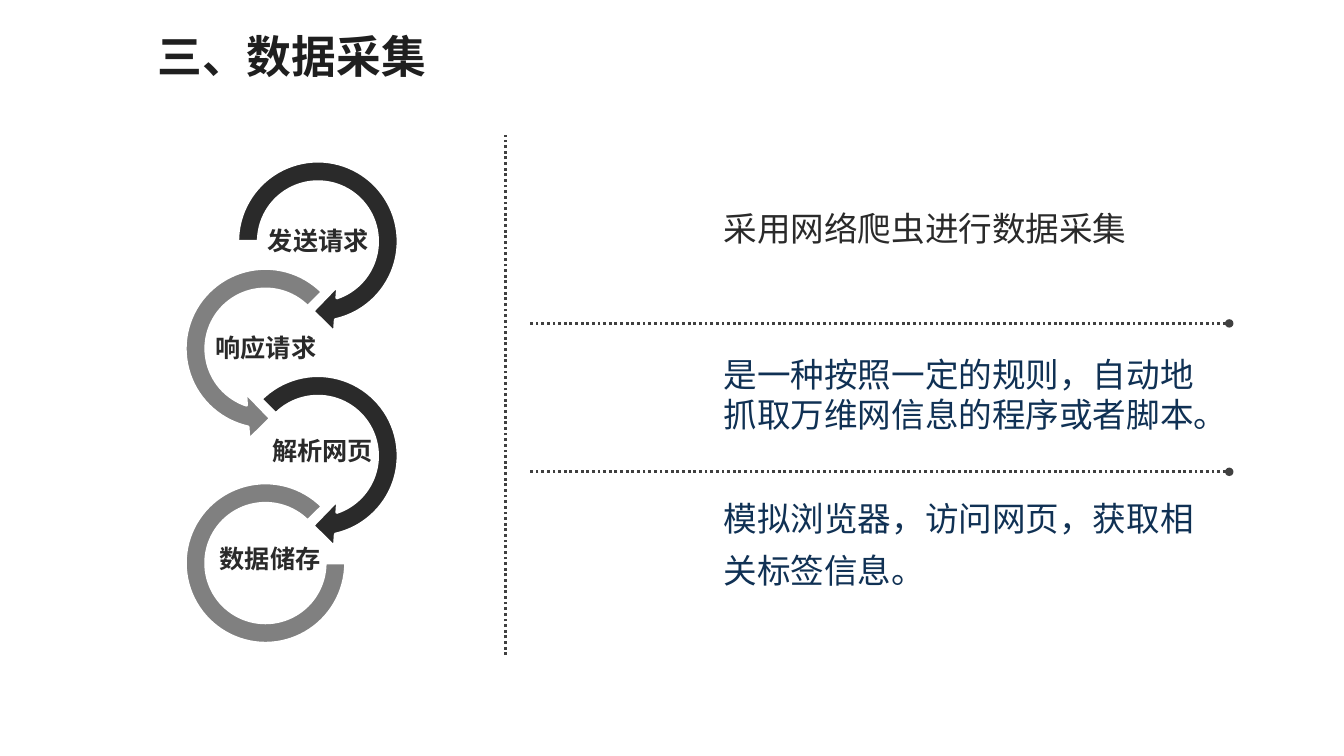
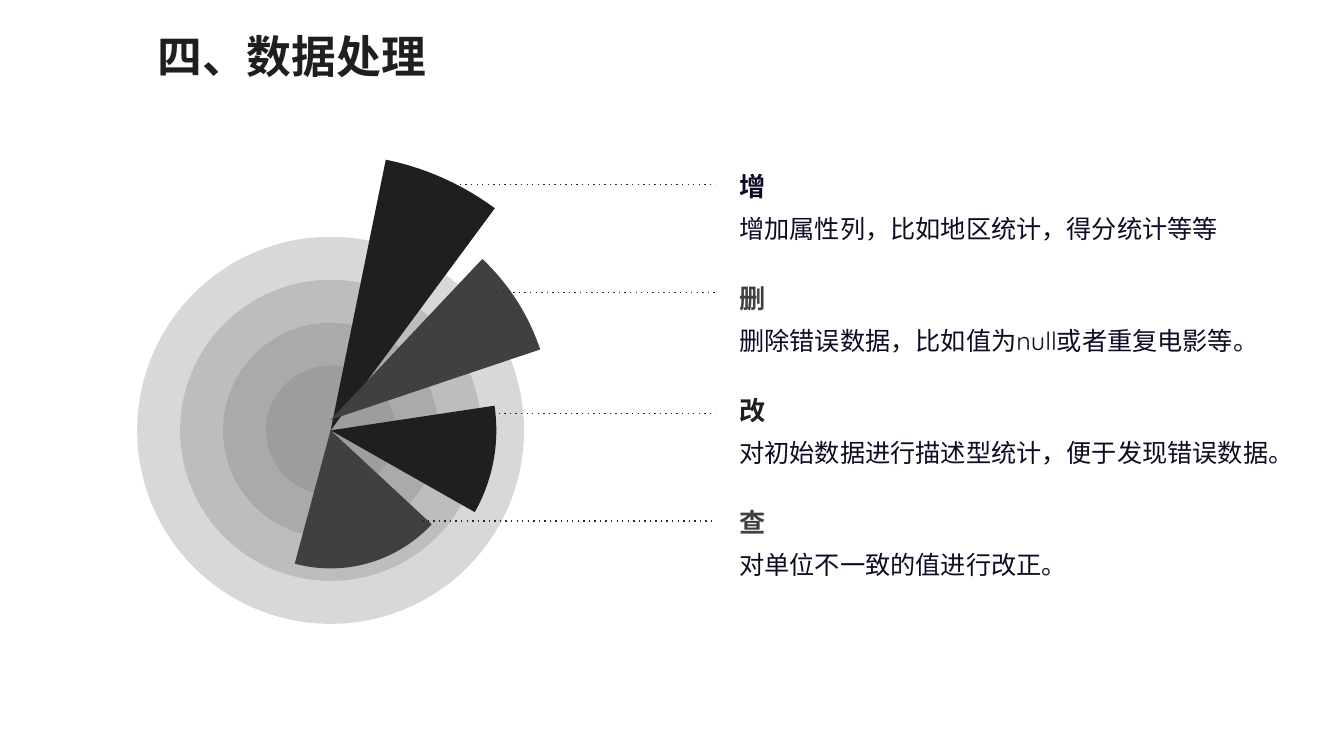
"""Build two slides on data collection and data processing."""
import dataclasses

import lxml.etree
import pptx
import pptx.dml.color
import pptx.enum.shapes
import pptx.enum.text
import pptx.oxml.ns
import pptx.util

Pt = pptx.util.Pt
SHAPE = pptx.enum.shapes.MSO_SHAPE
ANCHOR = pptx.enum.text.MSO_ANCHOR
ALIGN = pptx.enum.text.PP_ALIGN
DEGREE = 0.6


@dataclasses.dataclass(frozen=True)
class Theme:
    """Colours, fonts and type sizes shared by the slides."""
    black: str = "1F1F1F"
    charcoal: str = "2A2A2A"
    graphite: str = "404040"
    grey: str = "808080"
    white: str = "FFFFFF"
    navy: str = "103154"
    ink: str = "110823"
    leader: str = "222732"
    title_font: str = "Arial"
    body_font: str = "Quicksand"
    title_size: float = 32
    statement_size: float = 24
    heading_size: float = 18.7
    detail_size: float = 18


THEME = Theme()


def rgb(colour):
    """Turn a hex string into a colour."""
    return pptx.dml.color.RGBColor.from_string(colour)


def add_xml(parent, tag, **attributes):
    """Append a drawing element to a parent element."""
    return lxml.etree.SubElement(parent, pptx.oxml.ns.qn(tag), attributes)


def add_text(slide, box, text, size, colour, font=THEME.body_font, bold=False, spacing=1.0,
             insets=(7.2, 3.6), anchor=ANCHOR.TOP, align=ALIGN.LEFT, grow=True):
    """Add a wrapped text box holding one run."""
    frame = slide.shapes.add_textbox(*map(Pt, box)).text_frame
    frame.word_wrap = True
    if grow:
        frame.auto_size = pptx.enum.text.MSO_AUTO_SIZE.SHAPE_TO_FIT_TEXT
    frame.margin_left = frame.margin_right = Pt(insets[0])
    frame.margin_top = frame.margin_bottom = Pt(insets[1])
    frame.vertical_anchor = anchor
    paragraph = frame.paragraphs[0]
    paragraph.alignment = align
    paragraph.line_spacing = spacing
    run = paragraph.add_run()
    run.text = text
    run.font.name = font
    run.font.size = Pt(size)
    run.font.bold = bold
    run.font.color.rgb = rgb(colour)


def add_title(slide, text):
    """Add the slide title."""
    add_text(slide, (103, 13, 227, 50), text, THEME.title_size, THEME.black, THEME.title_font,
             bold=True, spacing=1.1, insets=(9.4, 5), anchor=ANCHOR.MIDDLE)


def add_figure(slide, kind, box, colour, adjustments=(), outline=None, alpha=None):
    """Add a filled preset shape, optionally outlined or translucent."""
    figure = slide.shapes.add_shape(kind, *map(Pt, box))
    figure.shadow.inherit = False
    for index, value in enumerate(adjustments):
        figure.adjustments[index] = value
    figure.fill.solid()
    figure.fill.fore_color.rgb = rgb(colour)
    if alpha:
        fill_colour = figure.element.spPr.find(".//" + pptx.oxml.ns.qn("a:srgbClr"))
        add_xml(fill_colour, "a:alpha", val=str(alpha * 1000))
    if outline:
        figure.line.color.rgb = rgb(outline)
        figure.line.width = Pt(2)
    else:
        figure.line.fill.background()


def add_centred(slide, kind, centre, diameter, colour, **style):
    """Add a round figure about a centre point."""
    left, top = (value - diameter / 2 for value in centre)
    add_figure(slide, kind, (left, top, diameter, diameter), colour, **style)


def add_rule(slide, start, end, colour, width, dash, head=None):
    """Add a dotted line, optionally with a head at its start."""
    rule = slide.shapes.add_connector(pptx.enum.shapes.MSO_CONNECTOR.STRAIGHT,
                                      *map(Pt, (*start, *end)))
    rule.line.color.rgb = rgb(colour)
    rule.line.width = Pt(width)
    properties = rule.element.spPr
    outline = properties.find(pptx.oxml.ns.qn("a:ln"))
    add_xml(outline, "a:prstDash", val=dash)
    if head:
        add_xml(outline, "a:headEnd", type=head)
    add_xml(properties, "a:effectLst")


def add_cycle(slide):
    """Draw the four interlocking steps of a crawl."""
    right, left, first_top, step, size = 227.2, 189.7, 172.4, 76.6, 133.2
    arrow, left_arrow = SHAPE.CIRCULAR_ARROW, SHAPE.LEFT_CIRCULAR_ARROW
    stages = [
        (arrow, right, size, THEME.charcoal, (75, 180), "发送请求", 190, 154),
        (left_arrow, left, size, THEME.grey, (105, 315), "响应请求", 152.5, 230.5),
        (arrow, right, size, THEME.charcoal, (75, 225), "解析网页", 193, 304.5),
        (SHAPE.BLOCK_ARC, left, 114.5, THEME.grey, (0, 315), "数据储存", 155.5, 381.5),
    ]
    for index, (kind, x, diameter, colour, angles, label, label_x, label_y) in enumerate(stages):
        start, end = (angle * DEGREE for angle in angles)
        if kind == SHAPE.BLOCK_ARC:
            adjustments = (start, end, 0.127)
        else:
            adjustments = (0.11, 19.04 * DEGREE, start, end, 0.125)
        add_centred(slide, kind, (x, first_top + index * step), diameter, colour,
                    adjustments=adjustments, outline=THEME.white)
        add_text(slide, (label_x, label_y, 75, 37.5), label, THEME.detail_size, THEME.charcoal,
                 bold=True, spacing=0.9, insets=(0.7, 0.7), anchor=ANCHOR.MIDDLE,
                 align=ALIGN.CENTER, grow=False)


def build_collection(slide):
    """Lay out the data collection slide."""
    add_cycle(slide)
    for y in (231, 337):
        add_rule(slide, (878.5, y), (377.5, y), THEME.graphite, 2, "sysDot", "oval")
    add_rule(slide, (361.5, 468), (361.5, 96.5), THEME.graphite, 2, "sysDot")
    statements = [
        (136, 41, "采用网络爬虫进行数据采集", THEME.charcoal, THEME.title_font, 1.3),
        (249, 65.5, "是一种按照一定的规则，自动地抓取万维网信息的程序或者脚本。",
         THEME.navy, THEME.body_font, 1.0),
        (343.5, 79, "模拟浏览器，访问网页，获取相关标签信息。",
         THEME.navy, THEME.body_font, 1.3),
    ]
    for top, height, text, colour, font, spacing in statements:
        add_text(slide, (510, top, 351, height), text, THEME.statement_size, colour, font,
                 spacing=spacing)
    add_title(slide, "三、数据采集")


def build_processing(slide):
    """Lay out the data processing slide."""
    centre_x, centre_y = 236.3, 307.4
    for ring in range(4):
        add_centred(slide, SHAPE.OVAL, (centre_x, centre_y), 276.5 - ring * 61.4, THEME.grey,
                    alpha=30)
    operations = [
        ("增", "增加属性列，比如地区统计，得分统计等等", THEME.black, THEME.ink,
         394.6, centre_y, (281.52, 306.49), (324.7, 131.8)),
        ("删", "删除错误数据，比如值为null或者重复电影等。", THEME.graphite, THEME.graphite,
         316, 299.9, (313.35, 341.45), (355, 208.8)),
        ("改", "对初始数据进行描述型统计，便于发现错误数据。", THEME.black, THEME.black,
         236.9, centre_y, (351.45, 29.55), (324.7, 295.2)),
        ("查", "对单位不一致的值进行改正。", THEME.graphite, THEME.graphite,
         197.3, centre_y, (42.89, 105.07), (301.7, 372.2)),
    ]
    for row, operation in enumerate(operations):
        heading, detail, wedge, heading_colour, diameter, apex_y, angles, leader = operation
        add_centred(slide, SHAPE.PIE, (centre_x, apex_y), diameter, wedge,
                    adjustments=[angle * DEGREE for angle in angles])
        top = 118 + row * 80
        add_text(slide, (521.3, top, 140, 30), heading, THEME.heading_size, heading_colour,
                 bold=True)
        add_text(slide, (521.3, top + 24.5, 402.5, 33), detail, THEME.detail_size, THEME.ink,
                 spacing=1.3)
        add_rule(slide, leader, (511.2, leader[1]), THEME.leader, 1, "dot")
    add_title(slide, "四、数据处理")


def main():
    """Create the presentation and save it."""
    deck = pptx.Presentation()
    deck.slide_width, deck.slide_height = Pt(960.5), Pt(540)
    for build in (build_collection, build_processing):
        build(deck.slides.add_slide(deck.slide_layouts[6]))
    deck.save("out.pptx")


if __name__ == "__main__":
    main()
